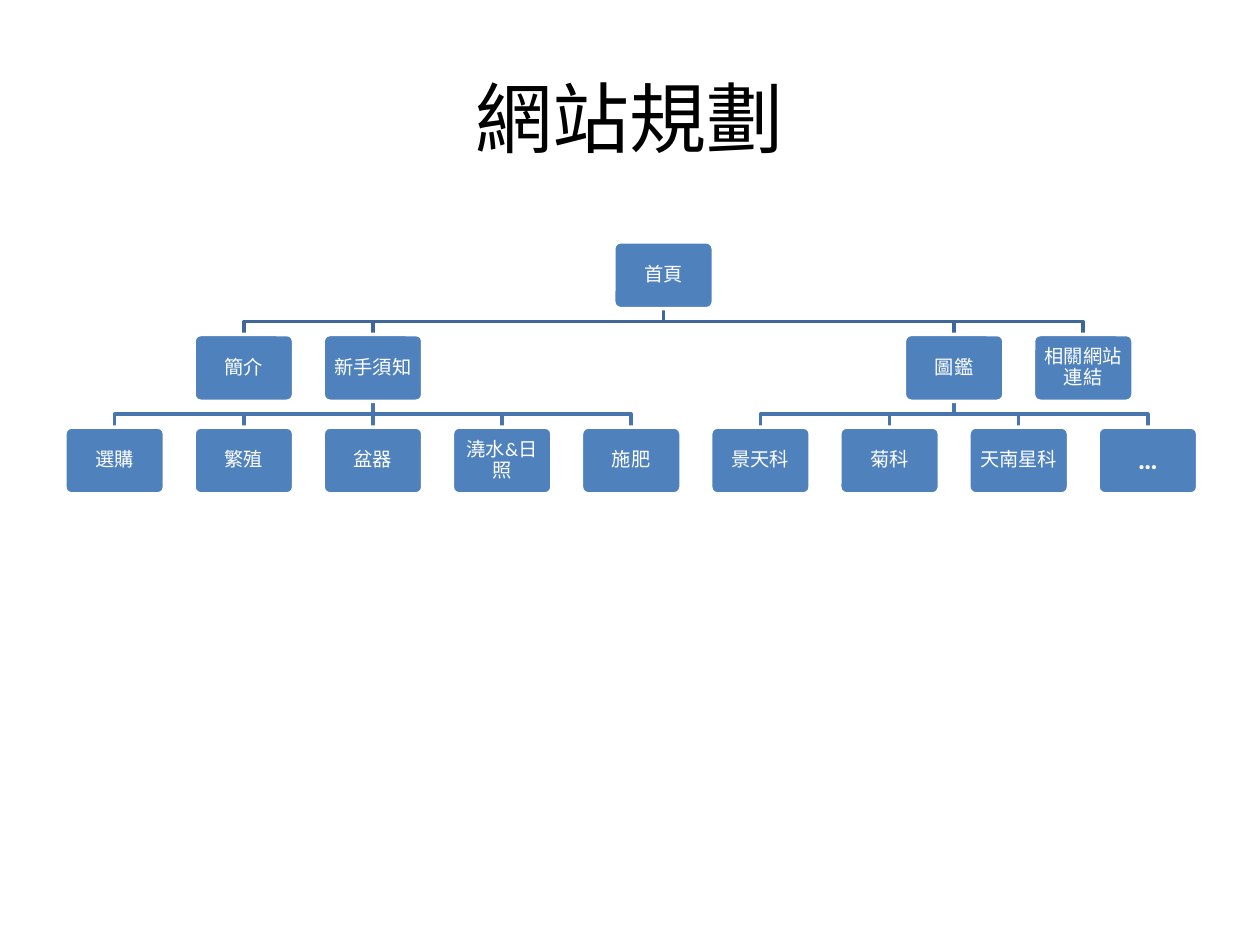
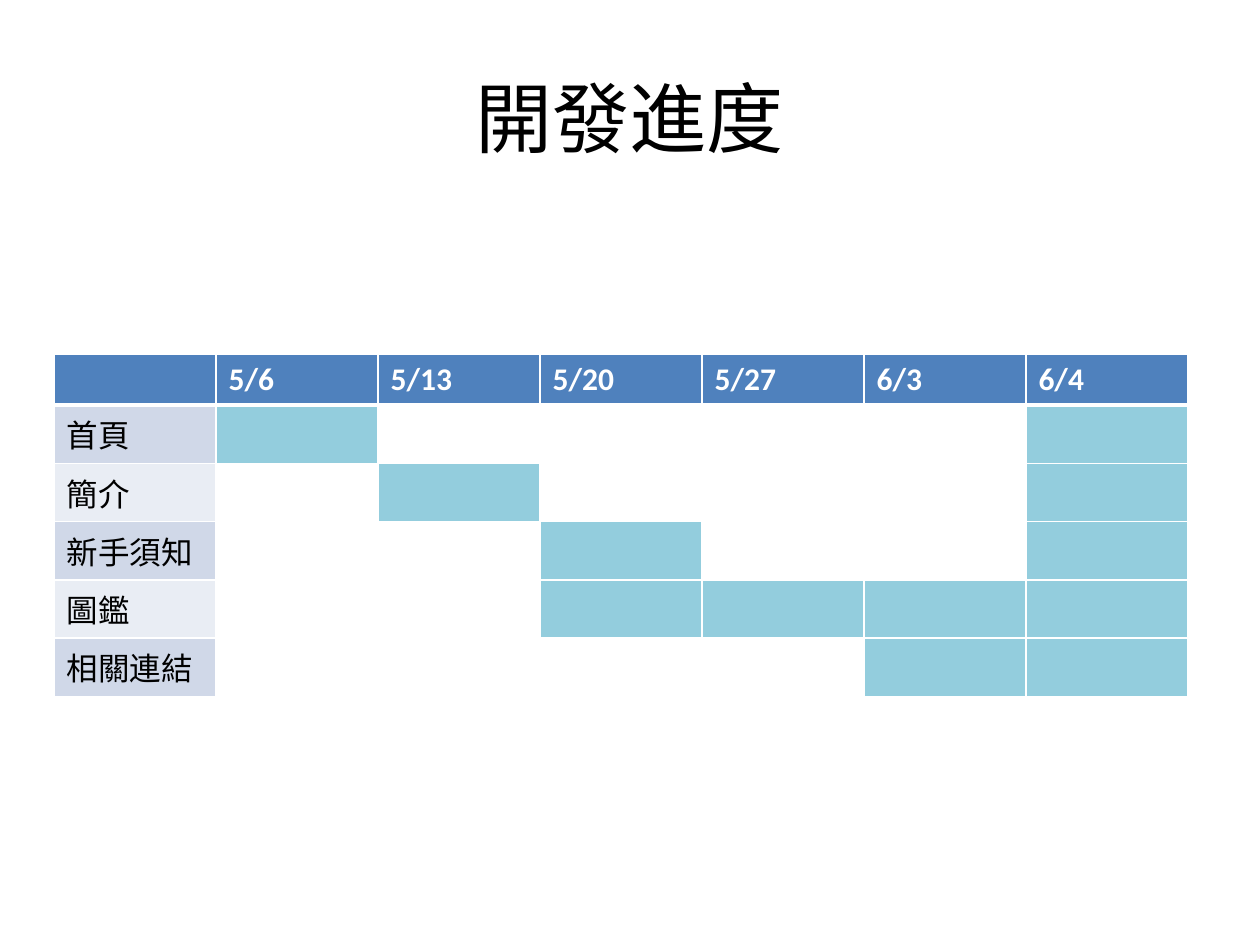
"""Builds a site plan tree and a progress table on two slides."""
from lxml.etree import SubElement
from pptx import Presentation
from pptx.dml.color import RGBColor
from pptx.enum.shapes import MSO_CONNECTOR, MSO_SHAPE
from pptx.enum.text import MSO_ANCHOR, PP_ALIGN
from pptx.oxml import parse_xml
from pptx.oxml.ns import nsdecls, qn
from pptx.util import Inches, Pt

FONT = "Calibri"
HUES = {"blue": "4F81BD", "navy": "3F6797", "steel": "4875AC", "teal": "93CDDD",
        "odd": "D0D8E8", "even": "E9EDF4", "white": "FFFFFF", "black": "000000"}

HOME = "首頁"
PAGES = [
    ("簡介", []),
    ("新手須知", ["選購", "繁殖", "盆器", "澆水&日照", "施肥"]),
    ("圖鑑", ["景天科", "菊科", "天南星科", "…"]),
    ("相關網站連結", []),
]
DATES = ["5/6", "5/13", "5/20", "5/27", "6/3", "6/4"]
TASKS = [
    ("首頁", ["5/6", "6/4"]),
    ("簡介", ["5/13", "6/4"]),
    ("新手須知", ["5/20", "6/4"]),
    ("圖鑑", ["5/20", "5/27", "6/3", "6/4"]),
    ("相關連結", ["6/3", "6/4"]),
]

LEFT, STEP = 0.91, 1.025
TOP, DROP = 1.92, 0.735
WIDE, HIGH = 0.79, 0.53


def hue(name):
    return RGBColor.from_string(HUES[name])


def write(frame, text, size, color, bold=False, align=None):
    para = frame.paragraphs[0]
    para.alignment = align
    run = para.add_run()
    run.text = text
    font = run.font
    font.name, font.size, font.bold = FONT, Pt(size), bold
    font.color.rgb = hue(color)
    return para


def start(deck, text):
    slide = deck.slides.add_slide(deck.slide_layouts[5])
    title = slide.shapes.title
    title.left, title.top = Inches(0.5), Inches(0.3)
    title.width, title.height = Inches(9), Inches(1.25)
    title.text_frame.vertical_anchor = MSO_ANCHOR.MIDDLE
    write(title.text_frame, text, 44, "black", align=PP_ALIGN.CENTER)
    return slide


def spot(slot, level):
    return LEFT + STEP * slot, TOP + DROP * level


def add_box(slide, text, slot, level):
    x, y = spot(slot, level)
    box = slide.shapes.add_shape(MSO_SHAPE.ROUNDED_RECTANGLE, Inches(x - WIDE / 2),
                                 Inches(y), Inches(WIDE), Inches(HIGH))
    box.adjustments[0] = 0.1
    box.shadow.inherit = False
    box.fill.solid()
    box.fill.fore_color.rgb = hue("blue")
    box.line.color.rgb = hue("white")
    box.line.width = Pt(2)
    dots = text == "…"
    frame = box.text_frame
    frame.word_wrap = True
    frame.vertical_anchor = MSO_ANCHOR.MIDDLE
    pad = Inches(0.07 if dots else 0.05)
    frame.margin_left = frame.margin_right = pad
    frame.margin_top = frame.margin_bottom = pad
    para = write(frame, text, 16 if dots else 11, "white", dots, PP_ALIGN.CENTER)
    para.line_spacing = 0.9


def add_link(slide, head, tail, level):
    x, y = spot(head, level)
    y += HIGH
    end, low = spot(tail, level + 1)
    mid = (y + low) / 2
    if head == tail:
        link = slide.shapes.add_connector(MSO_CONNECTOR.STRAIGHT, Inches(x), Inches(y),
                                          Inches(end), Inches(low))
        SubElement(link._element.spPr, qn("a:effectLst"))
    else:
        pen = slide.shapes.build_freeform(Inches(x), Inches(y))
        bends = [(x, mid), (end, mid), (end, low)]
        pen.add_line_segments([(Inches(a), Inches(b)) for a, b in bends], close=False)
        link = pen.convert_to_shape()
        link.fill.background()
        link.shadow.inherit = False
    link.line.color.rgb = hue("steel" if level else "navy")
    link.line.width = Pt(2)


def place(pages):
    slots, leaf = [], 0
    for name, kids in pages:
        slots.append(leaf + (len(kids) - 1) / 2 if kids else None)
        leaf += len(kids)
    for i, slot in enumerate(slots):
        if slot is None:
            slots[i] = slots[i - 1] + 1 if i else slots[1] - 1
    return slots


def draw_tree(slide):
    slots = place(PAGES)
    root = (slots[0] + slots[-1]) / 2
    boxes, links, leaf = [(HOME, root, 0)], [], 0
    for (name, kids), slot in zip(PAGES, slots):
        boxes.append((name, slot, 1))
        links.append((root, slot, 0))
        for kid in kids:
            boxes.append((kid, leaf, 2))
            links.append((slot, leaf, 1))
            leaf += 1
    for link in links:
        add_link(slide, *link)
    for box in boxes:
        add_box(slide, *box)


def edge(cell, row):
    props = cell._tc.get_or_add_tcPr()
    widths = {"L": 1, "R": 1, "T": 3 if row == 1 else 1, "B": 1 if row else 3}
    for i, (side, width) in enumerate(widths.items()):
        props.insert(i, parse_xml(
            f'<a:ln{side} {nsdecls("a")} w="{Pt(width)}"><a:solidFill>'
            f'<a:srgbClr val="{HUES["white"]}"/></a:solidFill></a:ln{side}>'))


def paint(cell, color, row):
    if color:
        cell.fill.solid()
        cell.fill.fore_color.rgb = hue(color)
    else:
        cell.fill.background()
    edge(cell, row)


def draw_plan(slide):
    rows, cols = len(TASKS) + 1, len(DATES) + 1
    grid = slide.shapes.add_table(rows, cols, Inches(0.43), Inches(2.81),
                                  Inches(9), Inches(2.43)).table
    paint(grid.cell(0, 0), "blue", 0)
    for col, date in enumerate(DATES, 1):
        cell = grid.cell(0, col)
        write(cell.text_frame, date, 18, "white", True)
        paint(cell, "blue", 0)
    for row, (task, days) in enumerate(TASKS, 1):
        cell = grid.cell(row, 0)
        write(cell.text_frame, task, 18, "black")
        paint(cell, "odd" if row % 2 else "even", row)
        for col, date in enumerate(DATES, 1):
            paint(grid.cell(row, col), "teal" if date in days else None, row)


deck = Presentation()
deck.slide_width, deck.slide_height = Inches(10), Inches(7.5)
draw_tree(start(deck, "網站規劃"))
draw_plan(start(deck, "開發進度"))
deck.save("out.pptx")
